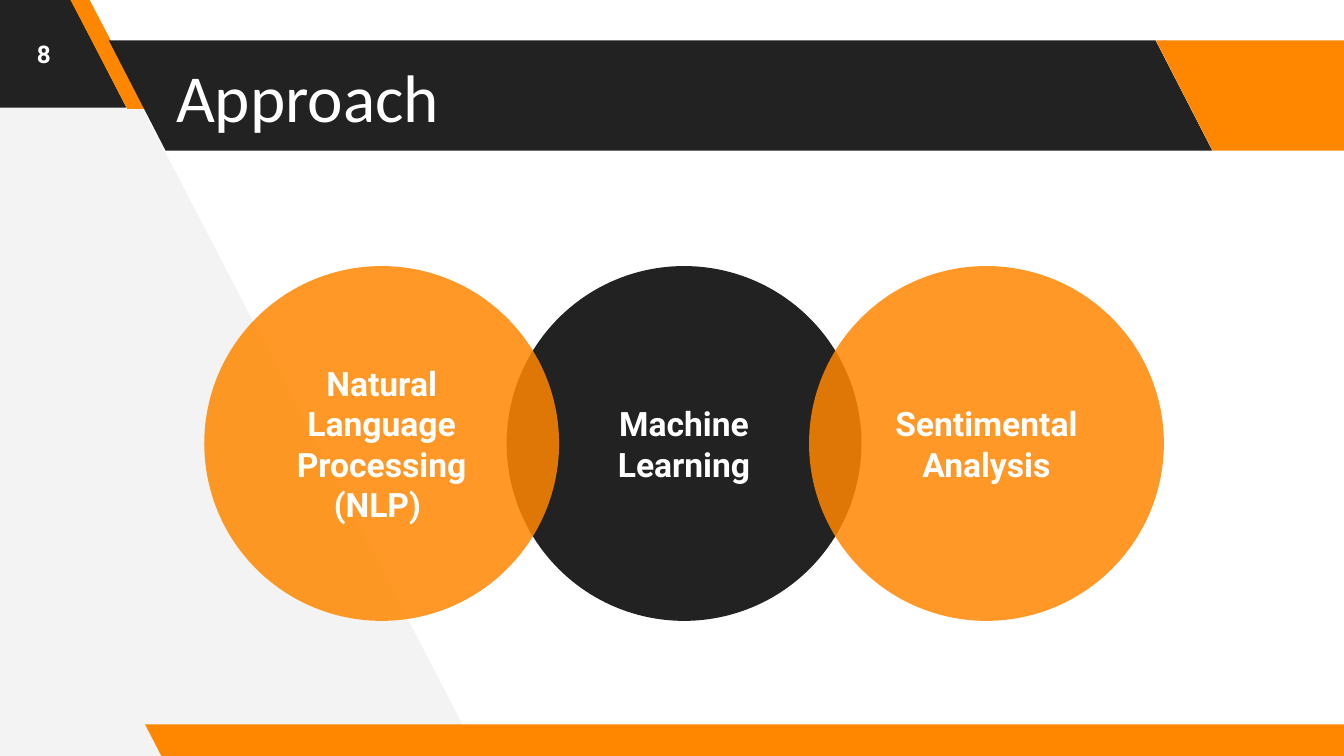
"""Build the "Approach" slide with three overlapping circles."""
from lxml.etree import SubElement
from pptx import Presentation
from pptx.dml.color import RGBColor
from pptx.enum.shapes import MSO_SHAPE as SHAPE
from pptx.enum.text import MSO_ANCHOR as ANCHOR, PP_ALIGN as ALIGN
from pptx.oxml.ns import qn
from pptx.util import Inches, Pt

ORANGE = RGBColor(0xFF, 0x87, 0x00)
DARK = RGBColor(0x22, 0x22, 0x22)
PALE = RGBColor(0xF3, 0xF3, 0xF3)
WHITE = RGBColor(0xFF, 0xFF, 0xFF)

TITLE = "Approach"
PAGE_NUMBER = "8"
BACKDROP = [(3.56, 5.62), (0.62, -0.04), (-0.06, -0.04), (-0.02, 5.66)]
BANDS = [
    (-0.98, -0.02, 1.92, 0.82, 0.515, DARK),
    (0.52, -0.01, 0.57, 0.82, 0.75, ORANGE),
    (0.81, 0.3, 8.21, 0.82, 0.515, DARK),
    (8.6, 0.3, 1.92, 0.82, 0.515, ORANGE),
    (1.08, 5.39, 9.15, 0.25, 0.515, ORANGE),
]
CIRCLES = [
    (1, ["Machine Learning"], DARK, 100),
    (0, ["Natural Language Processing", "(NLP) "], ORANGE, 85),
    (2, ["Sentimental Analysis"], ORANGE, 85),
]
CIRCLE_LEFT, CIRCLE_TOP, CIRCLE_SIZE, CIRCLE_STEP = 1.52, 1.98, 2.64, 2.25


def paint(shape, color, opacity=100):
    shape.shadow.inherit = False
    shape.fill.solid()
    shape.fill.fore_color.rgb = color
    shape.line.fill.background()
    if opacity < 100:
        tint = shape._element.spPr.find(qn("a:solidFill"))[0]
        SubElement(tint, qn("a:alpha"), val=str(opacity * 1000))


def write(shape, lines, size, font="Roboto", bold=True, align=ALIGN.CENTER):
    frame = shape.text_frame
    frame.word_wrap = True
    frame.vertical_anchor = ANCHOR.MIDDLE
    frame.margin_left = frame.margin_right = Inches(0.1)
    frame.margin_top = frame.margin_bottom = Inches(0.1)
    for index, line in enumerate(lines):
        paragraph = frame.add_paragraph() if index else frame.paragraphs[0]
        paragraph.alignment = align
        run = paragraph.add_run()
        run.text = line
        run.font.name = font
        run.font.size = Pt(size)
        run.font.bold = bold
        run.font.color.rgb = WHITE


def main():
    deck = Presentation()
    deck.slide_width = Inches(10)
    deck.slide_height = deck.slide_width * 9 // 16
    slide = deck.slides.add_slide(deck.slide_layouts[5])
    shapes = slide.shapes

    corners = [(Inches(x), Inches(y)) for x, y in BACKDROP]
    outline = shapes.build_freeform(*corners[0])
    outline.add_line_segments(corners[1:], close=True)
    paint(outline.convert_to_shape(), PALE)

    for *box, slant, color in BANDS:
        band = shapes.add_shape(SHAPE.PARALLELOGRAM, *map(Inches, box))
        band.adjustments[0] = slant
        band._element.spPr.xfrm.set("flipH", "1")
        paint(band, color)

    title = shapes.title
    title.left, title.top = Inches(1.21), Inches(0.3)
    title.width, title.height = Inches(7.35), Inches(0.82)
    write(title, [TITLE], 36, "Calibri", False, ALIGN.LEFT)
    shapes._spTree.append(title._element)

    for column, lines, color, opacity in CIRCLES:
        left = CIRCLE_LEFT + column * CIRCLE_STEP
        box = (left, CIRCLE_TOP, CIRCLE_SIZE, CIRCLE_SIZE)
        circle = shapes.add_shape(SHAPE.OVAL, *map(Inches, box))
        paint(circle, color, opacity)
        write(circle, lines, 18)

    number = shapes.add_textbox(0, 0, Inches(0.65), Inches(0.8))
    write(number, [PAGE_NUMBER], 13)
    deck.save("out.pptx")


if __name__ == "__main__":
    main()
